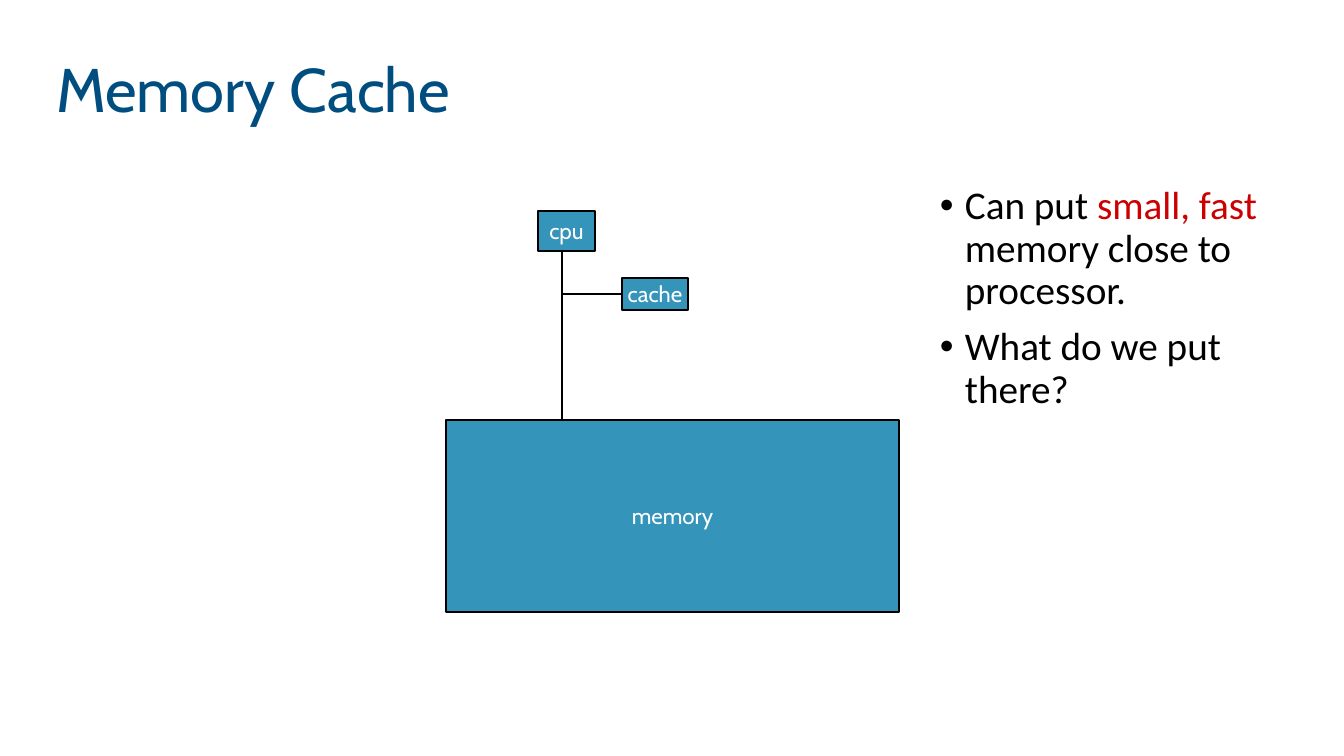
import pptx
import pptx.util
import pptx.dml.color
import pptx.enum.shapes
import pptx.enum.text
import pptx.oxml.ns
import lxml.etree

SLIDE_SIZE = (1344, 756)
EMU_PER_PX = 914400 / 100.8
BLACK, WHITE, BLUE, NAVY, RED = "000000", "FFFFFF", "3494BA", "004D80", "CC0000"

HEADING = "Memory Cache"
HEADING_BOX = (46, 20, 1273, 146)
POINTS = [
    [("Can put ", BLACK), ("small, fast", RED), (" memory close to processor.", BLACK)],
    [("What do we put there?", BLACK)],
]
POINTS_BOX = (930, 181, 403, 454)
UNITS = {
    "cpu": (538, 211, 57, 40),
    "memory": (446, 420, 453, 192),
    "cache": (622, 278, 66, 32),
}
BUS_X = 562
BULLET_INDENT = 25

ALIGN = pptx.enum.text.PP_ALIGN
ANCHOR = pptx.enum.text.MSO_ANCHOR


def px(length):
    return pptx.util.Emu(round(length * EMU_PER_PX))


def color(value):
    return pptx.dml.color.RGBColor.from_string(value)


def write(paragraph, text, *, size, font, fill, align=ALIGN.LEFT, spacing=None, before=None):
    run = paragraph.add_run()
    run.text = text
    run.font.size = pptx.util.Pt(size)
    run.font.name = font
    run.font.color.rgb = color(fill)
    paragraph.alignment = align
    if spacing is not None:
        paragraph.line_spacing = spacing
    if before is not None:
        paragraph.space_before = pptx.util.Pt(before)


def add_bullet(paragraph):
    properties = paragraph._p.get_or_add_pPr()
    properties.set("marL", str(px(BULLET_INDENT)))
    properties.set("indent", str(-px(BULLET_INDENT)))
    for tag, key, value in [("a:buFont", "typeface", "Arial"), ("a:buChar", "char", "•")]:
        lxml.etree.SubElement(properties, pptx.oxml.ns.qn(tag)).set(key, value)


def add_unit(slide, label, box):
    unit = slide.shapes.add_shape(pptx.enum.shapes.MSO_SHAPE.RECTANGLE, *map(px, box))
    unit.shadow.inherit = False
    unit.fill.solid()
    unit.fill.fore_color.rgb = color(BLUE)
    unit.line.color.rgb = color(BLACK)
    unit.line.width = pptx.util.Pt(1)
    unit.text_frame.word_wrap = False
    unit.text_frame.vertical_anchor = ANCHOR.MIDDLE
    write(unit.text_frame.paragraphs[0], label, size=16, font="Cabin", fill=WHITE, align=ALIGN.CENTER)
    return unit


def add_wire(slide, start, end):
    wire = slide.shapes.add_connector(
        pptx.enum.shapes.MSO_CONNECTOR.STRAIGHT, *map(px, start + end))
    wire.line.color.rgb = color(BLACK)
    wire.line.width = pptx.util.Pt(1)
    lxml.etree.SubElement(wire._element.spPr, pptx.oxml.ns.qn("a:effectLst"))
    return wire


def main():
    deck = pptx.Presentation()
    deck.slide_width, deck.slide_height = map(px, SLIDE_SIZE)
    slide = deck.slides.add_slide(deck.slide_layouts[5])

    heading = slide.shapes.title
    heading.left, heading.top, heading.width, heading.height = map(px, HEADING_BOX)
    heading.text_frame.auto_size = pptx.enum.text.MSO_AUTO_SIZE.NONE
    heading.text_frame.vertical_anchor = ANCHOR.MIDDLE
    write(heading.text_frame.paragraphs[0], HEADING, size=44, font="Cabin", fill=NAVY, spacing=0.9)

    points = slide.shapes.add_textbox(*map(px, POINTS_BOX)).text_frame
    points.word_wrap = True
    for index, point in enumerate(POINTS):
        paragraph = points.add_paragraph() if index else points.paragraphs[0]
        for text, fill in point:
            write(paragraph, text, size=28, font="Calibri", fill=fill, spacing=0.9, before=10)
        add_bullet(paragraph)

    units = {label: add_unit(slide, label, box) for label, box in UNITS.items()}

    cpu_left, cpu_top, cpu_width, cpu_height = UNITS["cpu"]
    cache_left, cache_top, cache_width, cache_height = UNITS["cache"]
    memory_top = UNITS["memory"][1]
    branch_y = cache_top + cache_height // 2
    add_wire(slide, (BUS_X, cpu_top + cpu_height), (BUS_X, memory_top))
    branch = add_wire(slide, (BUS_X, branch_y), (cache_left, branch_y))
    branch.end_connect(units["cache"], 1)

    deck.save("out.pptx")


if __name__ == "__main__":
    main()
